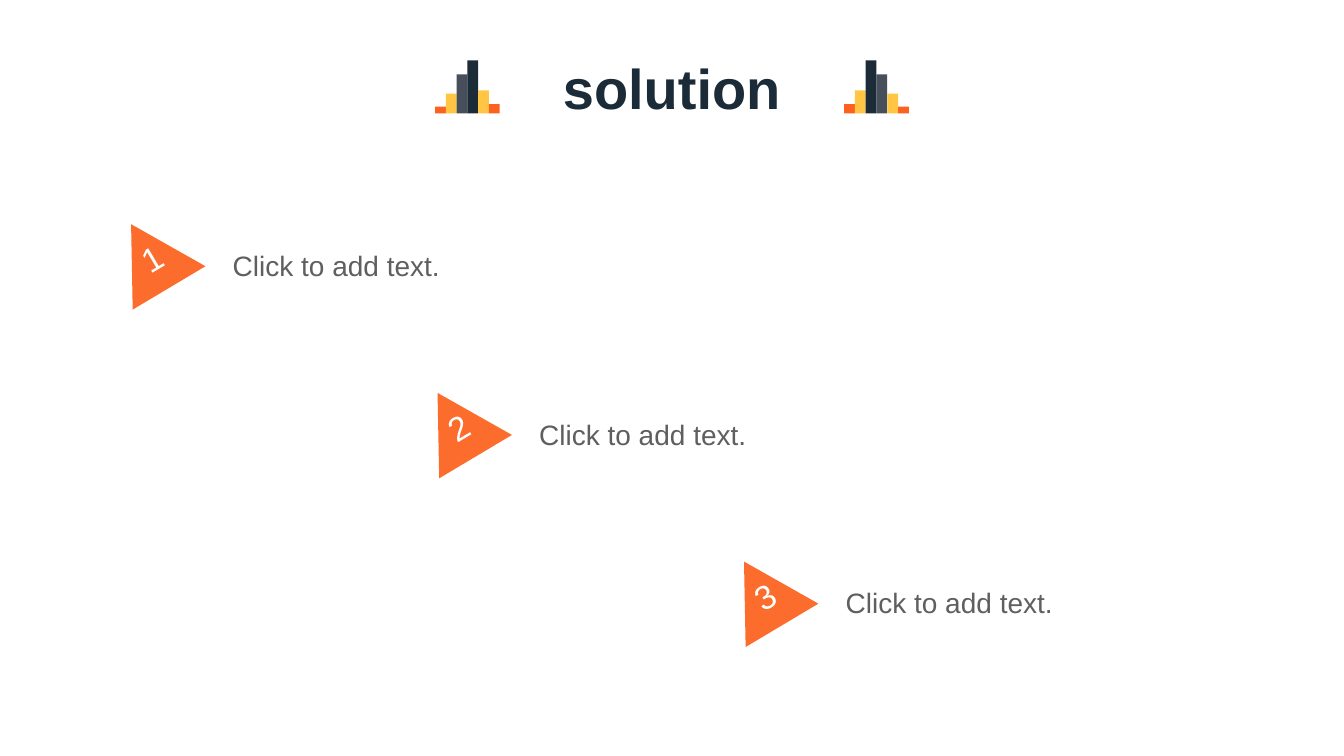
from pptx import Presentation
from pptx.dml.color import RGBColor
from pptx.enum.shapes import MSO_SHAPE as Shape
from pptx.enum.text import MSO_ANCHOR as Anchor, MSO_AUTO_SIZE as Fit, PP_ALIGN as Align
from pptx.util import Pt

NAVY = RGBColor(0x1C, 0x2B, 0x38)
SLATE = RGBColor(0x46, 0x4F, 0x5A)
GOLD = RGBColor(0xFF, 0xC5, 0x43)
RUST = RGBColor(0xFC, 0x61, 0x1F)
ORANGE = RGBColor(0xFC, 0x6C, 0x2C)
GREY = RGBColor(0x5F, 0x5F, 0x5F)
WHITE = RGBColor(0xFF, 0xFF, 0xFF)


def paint(shape, color):
    shape.shadow.inherit = False
    shape.fill.solid()
    shape.fill.fore_color.rgb = color
    shape.line.fill.background()


def write(shape, text, size, color, align, bold=False):
    frame = shape.text_frame
    frame.word_wrap = True
    frame.auto_size = Fit.NONE
    frame.vertical_anchor = Anchor.MIDDLE
    para = frame.paragraphs[0]
    para.alignment = align
    run = para.add_run()
    run.text = text
    font = run.font
    font.name, font.size, font.bold = "Arial", Pt(size), bold
    font.color.rgb = color
    return frame


deck = Presentation()
deck.slide_width, deck.slide_height = Pt(960), Pt(540)
slide = deck.slides.add_slide(deck.slide_layouts[5])

# Title
title = slide.shapes.title
title.left, title.top, title.width, title.height = Pt(357), Pt(23), Pt(245.6), Pt(77.8)
write(title, "solution", 40, NAVY, Align.CENTER, True)

# Bar ornaments on both sides, the right one mirrored
bars = [(5, RUST), (14.2, GOLD), (28, SLATE), (38, NAVY), (16.5, GOLD), (6.7, RUST)]
step, base = 7.7, 81.1
for left, row in ((310.8, bars), (603, bars[::-1])):
    group = slide.shapes.add_group_shape()
    for i, (tall, color) in enumerate(row):
        bar = group.shapes.add_shape(
            Shape.RECTANGLE, Pt(left + i * step), Pt(base - tall), Pt(step), Pt(tall))
        paint(bar, color)

# Three numbered steps down the diagonal
wide, high = 60.5, 53
for i in range(3):
    x, y = 77 + i * 218.9, 156.4 + i * 120.5
    group = slide.shapes.add_group_shape()

    label = group.shapes.add_textbox(Pt(x + 89.2), Pt(y + 2.4), Pt(279.4), Pt(61.2))
    frame = write(label, "Click to add text.", 20, GREY, Align.LEFT)
    frame.margin_left = frame.margin_right = frame.margin_top = frame.margin_bottom = 0

    pen = group.shapes.build_freeform(Pt(x + wide / 2), Pt(y))
    pen.add_line_segments([(Pt(x + wide), Pt(y + high)), (Pt(x), Pt(y + high))])
    arrow = pen.convert_to_shape()
    arrow.rotation = 329.2
    paint(arrow, ORANGE)
    frame = write(arrow, str(i + 1), 24, WHITE, Align.CENTER)
    frame.margin_left = frame.margin_right = frame.margin_bottom = 0
    frame.margin_top = Pt(4.3)

deck.save("out.pptx")
